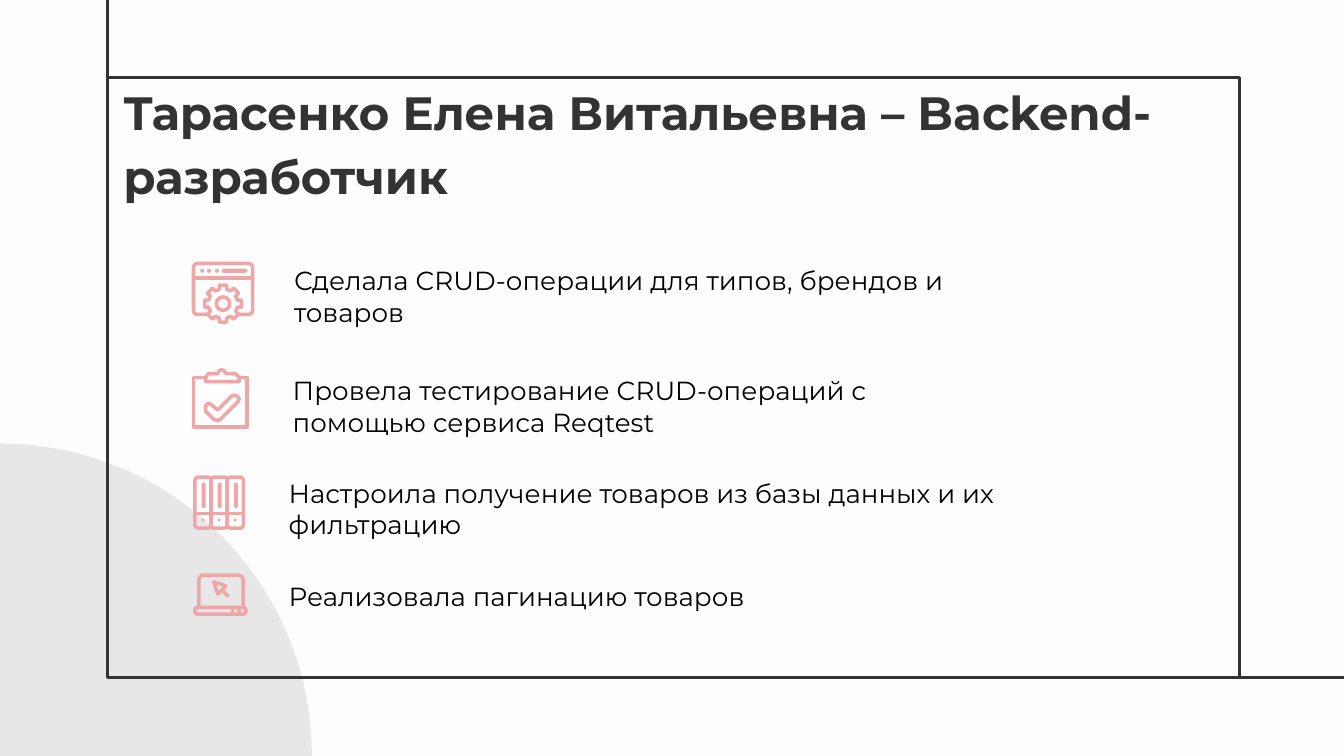
from math import cos, radians, sin

from lxml.etree import SubElement
from pptx import Presentation
from pptx.dml.color import RGBColor
from pptx.enum.shapes import MSO_CONNECTOR, MSO_SHAPE
from pptx.enum.text import MSO_ANCHOR
from pptx.oxml.ns import qn
from pptx.util import Inches, Pt

PAPER = RGBColor(0xFD, 0xFD, 0xFD)
GREY = RGBColor(0xE8, 0xE7, 0xE7)
DARK = RGBColor(0x33, 0x33, 0x33)
BLACK = RGBColor(0, 0, 0)
PINK = RGBColor(0xED, 0xA7, 0xA7)
ICON_LINE = 1.9

# Widescreen page, 16:9
deck = Presentation()
deck.slide_width, deck.slide_height = Inches(10), Inches(10 * 9 / 16)
page = deck.slides.add_slide(deck.slide_layouts[6])
page.background.fill.solid()
page.background.fill.fore_color.rgb = PAPER


def draw(kind, left, top, width, height, fill=None, line=None, weight=ICON_LINE, corner=None):
    """Add a preset shape; a missing fill or line is left off."""
    shape = page.shapes.add_shape(kind, Inches(left), Inches(top), Inches(width), Inches(height))
    shape.shadow.inherit = False
    if corner is not None:
        shape.adjustments[0] = corner
    if fill is None:
        shape.fill.background()
    else:
        shape.fill.solid()
        shape.fill.fore_color.rgb = fill
    if line is None:
        shape.line.fill.background()
    else:
        shape.line.color.rgb = line
        shape.line.width = Pt(weight)


def trace(points, closed=True, fill=None, color=PINK, weight=ICON_LINE):
    """Stroke a path; two points make a straight connector."""
    points = [(Inches(x), Inches(y)) for x, y in points]
    if len(points) == 2:
        shape = page.shapes.add_connector(MSO_CONNECTOR.STRAIGHT, *points[0], *points[1])
        SubElement(shape._element.spPr, qn("a:effectLst"))
    else:
        builder = page.shapes.build_freeform(*points[0])
        builder.add_line_segments(points[1:], close=closed)
        shape = builder.convert_to_shape()
        shape.shadow.inherit = False
        if fill is None:
            shape.fill.background()
        else:
            shape.fill.solid()
            shape.fill.fore_color.rgb = fill
    shape.line.color.rgb = color
    shape.line.width = Pt(weight)


# Backdrop circle and frame with its two extensions
draw(MSO_SHAPE.OVAL, -2.32, 3.3, 4.64, 4.64, fill=GREY)
draw(MSO_SHAPE.RECTANGLE, 0.8, 0.58, 8.42, 4.46, line=DARK, weight=1.5)
trace([(0.8, 0.58), (0.8, 0)], color=DARK, weight=1.5)
trace([(9.22, 5.04), (10, 5.04)], color=DARK, weight=1.5)

# Heading and the four tasks
heading = {"size": Pt(25), "bold": True, "name": "Montserrat"}
task = {"size": Pt(14), "bold": False, "name": "Montserrat"}
texts = [
    (0.82, 0.91, 9.61, 0.71, "Тарасенко Елена Витальевна – Backend-разработчик", heading),
    (2.09, 1.92, 5.2, 0.81, "Сделала CRUD-операции для типов, брендов и товаров", task),
    (2.08, 2.74, 4.66, 0.57, "Провела тестирование CRUD-операций с помощью сервиса Reqtest", task),
    (2.05, 3.5, 5.68, 0.57, "Настроила получение товаров из базы данных и их фильтрацию", task),
    (2.05, 4.27, 4.39, 0.34, "Реализовала пагинацию товаров", task),
]
for left, top, width, height, words, formats in texts:
    box = page.shapes.add_textbox(Inches(left), Inches(top), Inches(width), Inches(height))
    frame = box.text_frame
    frame.word_wrap = True
    para = frame.paragraphs[0]
    span = para.add_run()
    span.text = words
    for name, value in formats.items():
        setattr(span.font, name, value)
    span.font.color.rgb = DARK if formats is heading else BLACK
    if formats is heading:
        frame.vertical_anchor = MSO_ANCHOR.BOTTOM
        frame.margin_top = frame.margin_bottom = Inches(0.1)
        para.line_spacing = 1.15

# Icon: browser window with a gear
draw(MSO_SHAPE.ROUNDED_RECTANGLE, 1.44, 1.96, 0.44, 0.38, line=PINK, corner=0.08)
trace([(1.44, 2.07), (1.88, 2.07)])
for left in (1.49, 1.54, 1.6):
    draw(MSO_SHAPE.OVAL, left, 2, 0.03, 0.03, fill=PINK)
draw(MSO_SHAPE.ROUNDED_RECTANGLE, 1.65, 2, 0.19, 0.03, fill=PINK, corner=0.5)
gear = []
for tooth in range(0, 360, 45):
    for turn, radius in ((-14, 0.11), (-11, 0.14), (11, 0.14), (14, 0.11)):
        angle = radians(tooth + turn)
        gear.append((1.66 + radius * cos(angle), 2.26 + radius * sin(angle)))
trace(gear, fill=PAPER)
draw(MSO_SHAPE.OVAL, 1.61, 2.21, 0.1, 0.1, line=PINK)

# Icon: clipboard with a check mark
trace([(1.53, 2.81), (1.44, 2.81), (1.44, 3.18), (1.84, 3.18), (1.84, 2.81), (1.78, 2.81)],
      closed=False)
trace([(1.53, 2.84), (1.78, 2.84), (1.78, 2.81), (1.75, 2.78), (1.68, 2.78), (1.67, 2.76),
       (1.65, 2.75), (1.63, 2.76), (1.62, 2.78), (1.55, 2.78), (1.53, 2.81)])
trace([(1.53, 3.02), (1.55, 3), (1.57, 3.01), (1.62, 3.05), (1.72, 2.95), (1.74, 2.94),
       (1.77, 2.95), (1.78, 2.97), (1.77, 2.99), (1.64, 3.12), (1.62, 3.13), (1.59, 3.12),
       (1.53, 3.06)])

# Icon: three binders
for index in range(3):
    left = 1.45 + 0.12 * index
    draw(MSO_SHAPE.ROUNDED_RECTANGLE, left, 3.55, 0.12, 0.38, line=PINK, corner=0.2)
    trace([(left, 3.82), (left + 0.12, 3.82)])
    draw(MSO_SHAPE.ROUNDED_RECTANGLE, left + 0.05, 3.59, 0.03, 0.19, fill=PINK, corner=0.5)
    draw(MSO_SHAPE.OVAL, left + 0.05, 3.86, 0.02, 0.02, fill=PINK)

# Icon: laptop with a pointer
trace([(1.48, 4.52), (1.48, 4.31), (1.49, 4.29), (1.51, 4.28), (1.78, 4.28), (1.8, 4.29),
       (1.81, 4.31), (1.81, 4.52)], closed=False)
draw(MSO_SHAPE.ROUNDED_RECTANGLE, 1.45, 4.52, 0.38, 0.05, line=PINK, corner=0.4)
for left in (1.73, 1.78):
    trace([(left, 4.52), (left, 4.57)])
trace([(1.59, 4.33), (1.68, 4.36), (1.62, 4.42)])
trace([(1.65, 4.39), (1.7, 4.44)])

deck.save("out.pptx")
